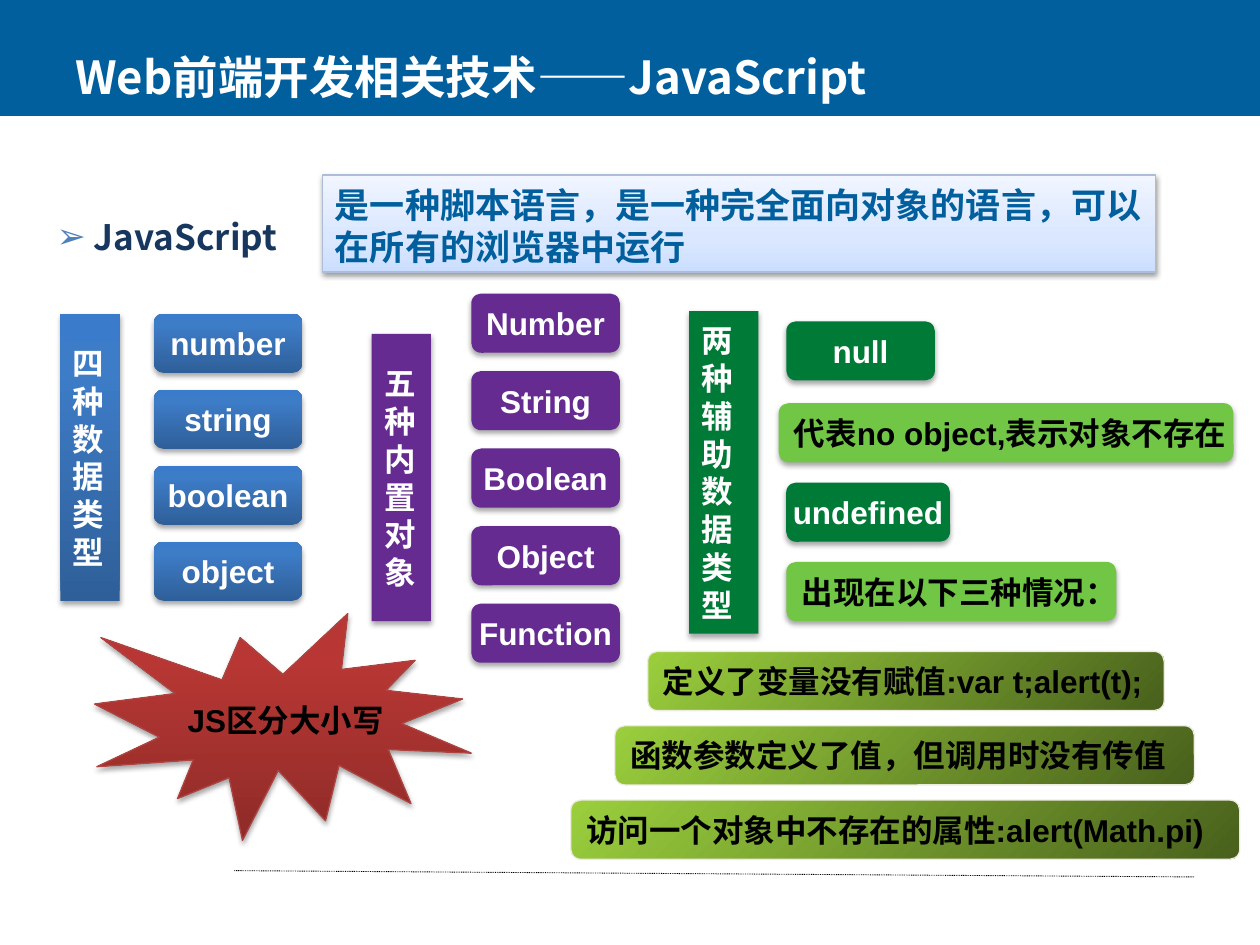
from lxml import etree
from pptx import Presentation
from pptx import util as u
from pptx.dml.color import RGBColor
from pptx.enum import dml, shapes, text
from pptx.oxml.ns import qn

# Theme: colours, gradients (stops, angle), fonts and sizes
BLUE = ([(0, "2F5F99"), (80, "3D7CC7"), (100, "3A7CCB")], 270)
THEME = dict(
    band="005F9C", navy="17375E", bullet="4F81BD", white="FFFFFF", black="000000",
    blue=BLUE, purple="652B91", green="007A37", lime="71C646",
    pale=([(0, "CCDEFF"), (35, "DAE7FF"), (100, "F0F5FF")], 270),
    olive=([(0, "9BCF3D"), (100, "48601C")], 45),
    red=([(0, "8E2B28"), (80, "B83734"), (100, "BB3531")], 270),
    pale_edge="ADBCD7", olive_edge="EEECE1", red_edge="AD4441",
    latin="Arial", han="Noto Sans CJK SC", title=26, lead=20, body=18, leading=1.2)
T = THEME

# Content
TITLE = "Web前端开发相关技术——JavaScript"
TOPIC = " JavaScript"
ABOUT = "是一种脚本语言，是一种完全面向对象的语言，可以在所有的浏览器中运行"
# heading, heading box, fill, tag left, first tag top, tag pitch, tags
GROUPS = [
    ("四种数据类型", (0.48, 2.49, 0.47, 2.28), "blue", 1.22, 2.49, 0.603,
     ["number", "string", "boolean", "object"]),
    ("五种内置对象", (2.95, 2.65, 0.47, 2.28), "purple", 3.74, 2.33, 0.615,
     ["Number", "String", "Boolean", "Object", "Function"]),
    ("两种辅助数据类型", (5.47, 2.47, 0.55, 2.56), "green", 6.24, 2.55, 1.28,
     ["null", "undefined"]),
]
WIDE = {"undefined": 1.3}
NOTES = [("代表no object,表示对象不存在", 6.18, 3.2, 3.61),
         ("出现在以下三种情况：", 6.24, 4.46, 2.62)]
CASES = [("定义了变量没有赋值:var t;alert(t);", 5.14, 4.1),
         ("函数参数定义了值，但调用时没有传值", 4.88, 4.6),
         ("访问一个对象中不存在的属性:alert(Math.pi)", 4.53, 5.31)]
CASE_TOP, CASE_STEP = 5.17, 0.59
TAG_W, TAG_H = 1.18, 0.47
ALERT = "JS区分大小写"

deck = Presentation()
deck.slide_width, deck.slide_height = u.Inches(10), u.Inches(7.5)
slide = deck.slides.add_slide(deck.slide_layouts[6])


def rgb(name):
    return RGBColor.from_string(T[name])


def node(up, tag, **attrs):
    return etree.SubElement(up, qn("a:" + tag), {k: str(v) for k, v in attrs.items()})


def paint(shape, name):
    """Solid or gradient fill by theme name."""
    if isinstance(T[name], str):
        shape.fill.solid()
        shape.fill.fore_color.rgb = rgb(name)
        return
    stops, angle = T[name]
    shape.fill.gradient()
    grad = shape._element.spPr.find(qn("a:gradFill"))
    for kid in list(grad):
        grad.remove(kid)
    row = node(grad, "gsLst")
    for pos, hue in stops:
        node(node(row, "gs", pos=pos * 1000), "srgbClr", val=hue)
    node(grad, "lin", ang=angle * 60000, scaled=0)


def shade(shape, alpha=35, dist=1.8):
    fx = shape._element.spPr.find(qn("a:effectLst"))
    out = node(fx, "outerShdw", blurRad=u.Pt(3.1), dist=u.Pt(dist),
               dir=5400000, rotWithShape=0)
    node(node(out, "srgbClr", val=T["black"]), "alpha", val=alpha * 1000)


def write(shape, lines, size="body", hue="white", face="latin", mid=True,
          wrap=False, center=False, leading=T["leading"]):
    frame = shape.text_frame
    frame.word_wrap = wrap
    frame.vertical_anchor = text.MSO_ANCHOR.MIDDLE if mid else text.MSO_ANCHOR.TOP
    for i, line in enumerate(lines):
        par = frame.add_paragraph() if i else frame.paragraphs[0]
        par.text = line
        par.alignment = text.PP_ALIGN.CENTER if center else text.PP_ALIGN.LEFT
        par.line_spacing = u.Pt(T[size] * leading)
        font = par.font
        font.size, font.bold, font.name = u.Pt(T[size]), True, T[face]
        font.color.rgb = rgb(hue)
        node(par._p.pPr.find(qn("a:defRPr")), "ea", typeface=T["han"])
    return frame


def block(kind, box, fill, edge=None, shadow=True, **glow):
    shape = slide.shapes.add_shape(kind, *map(u.Inches, box))
    shape.shadow.inherit = False
    paint(shape, fill)
    if edge:
        shape.line.color.rgb, shape.line.width = rgb(edge), u.Pt(0.75)
    else:
        shape.line.fill.background()
    if shadow:
        shade(shape, **glow)
    return shape


def label(*box):
    return slide.shapes.add_textbox(*map(u.Inches, box))


KIND = shapes.MSO_SHAPE
RECT, ROUND = KIND.RECTANGLE, KIND.ROUNDED_RECTANGLE

# Footer rule and title band
rule = slide.shapes.add_connector(shapes.MSO_CONNECTOR.STRAIGHT,
                                  *map(u.Inches, (1.86, 6.91, 9.48, 6.96)))
rule.line.color.rgb, rule.line.width = rgb("black"), u.Pt(0.5)
rule.line.dash_style = dml.MSO_LINE.ROUND_DOT
node(rule._element.spPr, "effectLst")
block(RECT, (0, 0, 10, 0.92), "band", shadow=False)
write(label(0.5, 0.3, 9, 0.61), [TITLE], "title", face="han", wrap=True)

# Topic with arrow bullet
topic = write(label(0.35, 1.33, 2.29, 0.93), [TOPIC], "lead", "navy", "han",
              mid=False, wrap=True, leading=2 * T["leading"])
props = topic.paragraphs[0]._p.pPr
props.set("marL", str(u.Inches(0.21)))
props.set("indent", str(u.Inches(-0.21)))
last = props.find(qn("a:defRPr"))
node(node(props, "buClr"), "srgbClr", val=T["bullet"])
node(props, "buFont", typeface=T["latin"])
node(props, "buChar", char="➢")
props.append(last)

# Description
about = block(RECT, (2.56, 1.39, 6.61, 0.77), "pale", "pale_edge", alpha=38, dist=1.6)
write(about, [ABOUT], "lead", "band", "han", mid=False, wrap=True).margin_top = u.Inches(0.07)

# Groups: upright heading and its column of tags
for head, box, fill, left, top, step, tags in GROUPS:
    write(block(RECT, box, fill), list(head))
    for i, tag in enumerate(tags):
        spot = (left, top + i * step, WIDE.get(tag, TAG_W), TAG_H)
        write(block(ROUND, spot, fill), [tag], center=True)

# Notes on the two helper types
for line, left, top, width in NOTES:
    write(block(ROUND, (left, top, width, TAG_H), "lime"), [line], hue="black")

# Cases of undefined
for i, (line, left, width) in enumerate(CASES):
    spot = (left, CASE_TOP + i * CASE_STEP, width, TAG_H)
    write(block(ROUND, spot, "olive", "olive_edge", shadow=False), [line], hue="black")

# Case-sensitivity burst
burst = block(KIND.EXPLOSION1, (0.75, 4.87, 2.99, 1.8), "red", "red_edge")
write(burst, [ALERT], hue="black")

deck.save("out.pptx")
